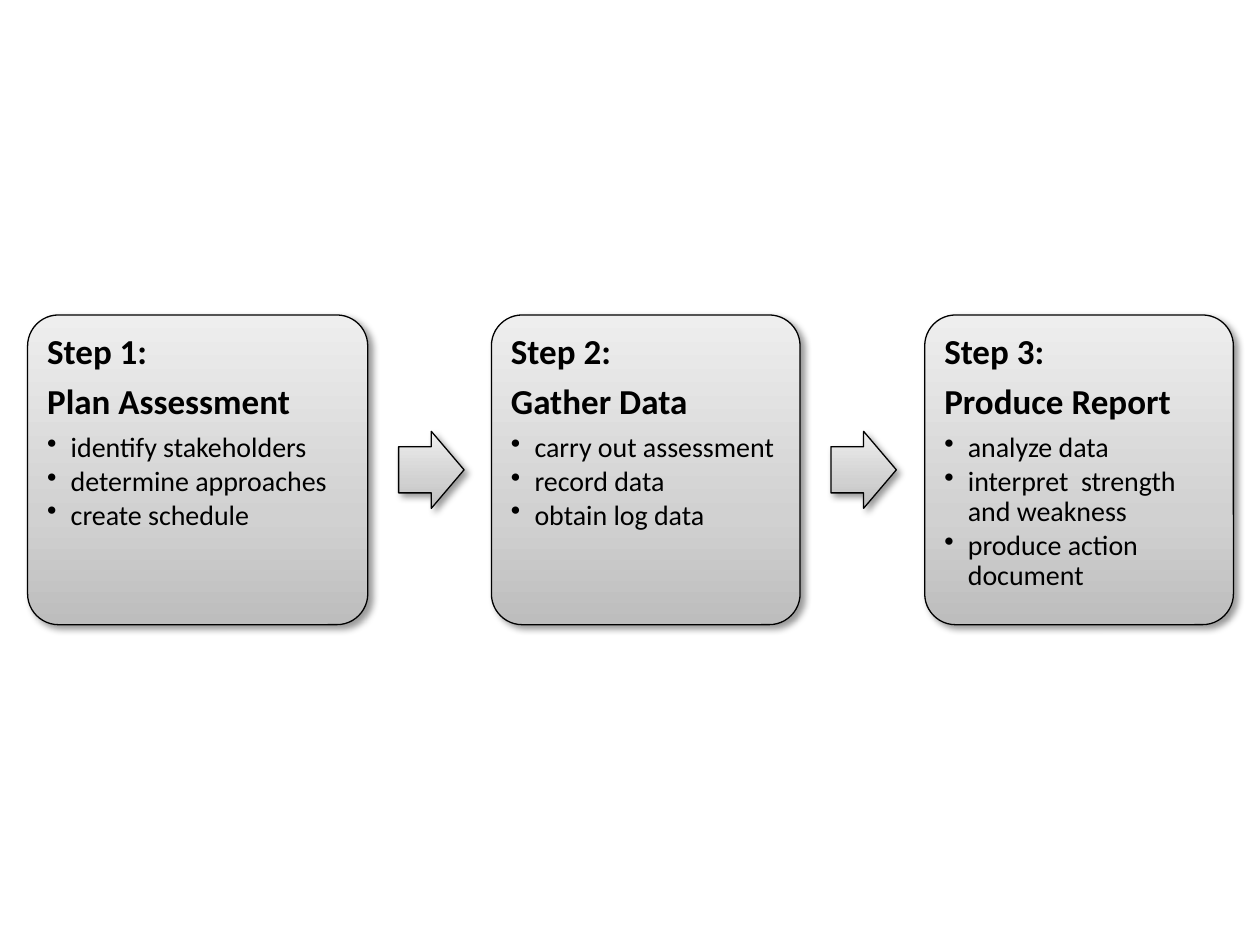
from lxml.etree import SubElement
from pptx import Presentation
from pptx.dml.color import RGBColor
from pptx.enum.shapes import MSO_SHAPE
from pptx.enum.text import MSO_ANCHOR, PP_ALIGN
from pptx.oxml import parse_xml
from pptx.oxml.ns import nsdecls, qn
from pptx.util import Pt

BLACK = RGBColor(0, 0, 0)
GREY_STOPS = [(0, "BDBDBD"), (35, "D1D1D1"), (100, "EEEEEE")]
BOX_TOP, BOX_HEIGHT = 180, 177
ARROW_WIDTH, ARROW_HEIGHT = 37.4, 44
ARROW_TOP = BOX_TOP + (BOX_HEIGHT - ARROW_HEIGHT) / 2
ARROW_GAP = 17.6
BULLET_INDENT = 13.5

# left, width, heading, bullets
STEPS = [
    (15.8, 194.4, "Plan Assessment",
     ["identify stakeholders", "determine approaches", "create schedule"]),
    (280.8, 176.4, "Gather Data",
     ["carry out assessment", "record data", "obtain log data"]),
    (528.4, 176.4, "Produce Report",
     ["analyze data", "interpret  strength and weakness", "produce action document"]),
]


def add_grey_shape(kind, left, top, width, height, adjustments):
    """Add a preset shape with the grey gradient, black outline and soft shadow."""
    shape = page.shapes.add_shape(kind, Pt(left), Pt(top), Pt(width), Pt(height))
    for index, value in enumerate(adjustments):
        shape.adjustments[index] = value
    stops = "".join(f'<a:gs pos="{position * 1000}"><a:srgbClr val="{color}"/></a:gs>'
                    for position, color in GREY_STOPS)
    shape.line.color.rgb = BLACK
    shape.line.width = Pt(0.75)
    outline = shape.line._get_or_add_ln()
    outline.addprevious(parse_xml(
        f'<a:gradFill {nsdecls("a")} rotWithShape="1"><a:gsLst>{stops}</a:gsLst>'
        '<a:lin ang="16200000" scaled="0"/></a:gradFill>'))
    outline.addnext(parse_xml(
        f'<a:effectLst {nsdecls("a")}><a:outerShdw blurRad="{Pt(4)}" dist="{Pt(3)}" '
        'dir="2700000" rotWithShape="0"><a:srgbClr val="000000"><a:alpha val="40000"/>'
        '</a:srgbClr></a:outerShdw></a:effectLst>'))
    return shape


def add_line(frame, text, size, bold, space_after):
    """Add one left-aligned paragraph to a text frame and return it."""
    para = frame.paragraphs[0] if not frame.text else frame.add_paragraph()
    para.text = text
    para.alignment = PP_ALIGN.LEFT
    para.line_spacing = 0.9
    para.space_after = Pt(space_after)
    para.font.name = "Calibri"
    para.font.size = Pt(size)
    para.font.bold = bold
    para.font.color.rgb = BLACK
    return para


deck = Presentation()
deck.slide_width, deck.slide_height = Pt(720), Pt(540)
page = deck.slides.add_slide(deck.slide_layouts[6])

for number, (left, width, heading, bullets) in enumerate(STEPS, start=1):
    box = add_grey_shape(MSO_SHAPE.ROUNDED_RECTANGLE, left, BOX_TOP, width, BOX_HEIGHT, [0.1])
    frame = box.text_frame
    frame.word_wrap = True
    frame.vertical_anchor = MSO_ANCHOR.TOP
    frame.margin_left = frame.margin_right = Pt(6)
    frame.margin_top = frame.margin_bottom = Pt(6)

    for title in (f"Step {number}:", heading):
        add_line(frame, title, 20, True, 6.6)
    for bullet in bullets:
        para = add_line(frame, bullet, 16, False, 2.1)
        para.level = 1
        properties = para._p.get_or_add_pPr()
        properties.set("marL", str(Pt(BULLET_INDENT)))
        properties.set("indent", str(-Pt(BULLET_INDENT)))
        mark = SubElement(properties, qn("a:buChar"), char="•")
        properties.find(qn("a:defRPr")).addprevious(mark)

    if number < len(STEPS):
        add_grey_shape(MSO_SHAPE.RIGHT_ARROW, left + width + ARROW_GAP, ARROW_TOP,
                       ARROW_WIDTH, ARROW_HEIGHT, [0.6, 0.5])

deck.save("out.pptx")
